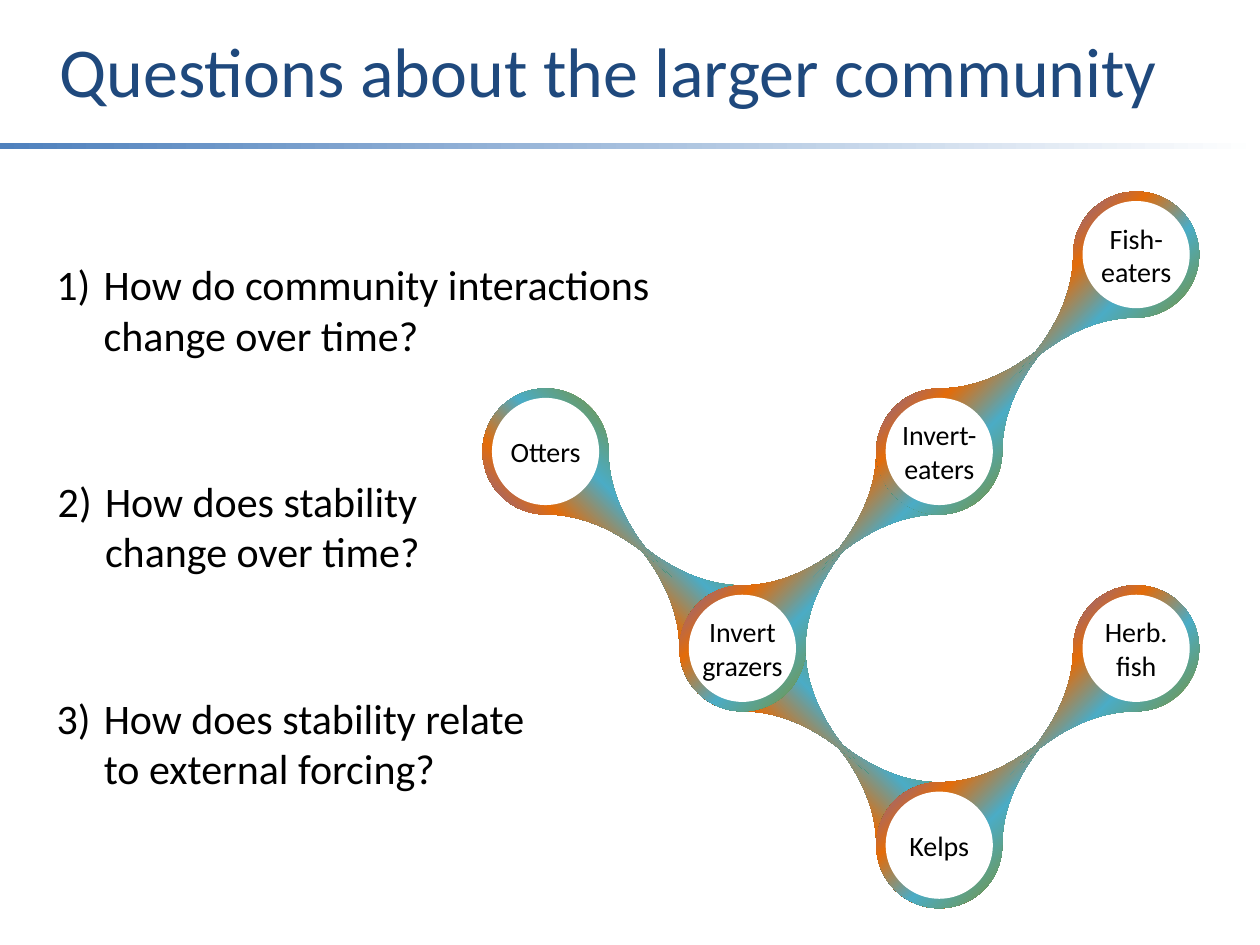
import pptx
import pptx.util
import pptx.dml.color
import pptx.enum.shapes
import pptx.enum.text
import pptx.oxml
import pptx.oxml.ns

Pt = pptx.util.Pt
KIND = pptx.enum.shapes.MSO_SHAPE
ALIGN = pptx.enum.text.PP_ALIGN
ANCHOR = pptx.enum.text.MSO_ANCHOR

TITLE = "Questions about the larger community"
# text, left, top, width
ASKS = [
    ("1)\tHow do community interactions change over time?", 25.2, 144, 372.2),
    ("2)\tHow does stability change over time?", 25.9, 267.8, 245.5),
    ("3)\tHow does stability relate to external forcing?", 25.2, 391.7, 298.8),
]
# name: column, row, lines of text
NODES = {
    "Invert- eaters": (2, 1, 2),
    "Fish-eaters": (3, 0, 2),
    "Otters": (0, 1, 1),
    "Invert grazers": (1, 2, 2),
    "Kelps": (2, 3, 1),
    "Herb. fish": (3, 2, 2),
}
LINKS = [
    ("Invert grazers", "Otters"),
    ("Kelps", "Invert grazers"),
    ("Invert grazers", "Invert- eaters"),
    ("Invert- eaters", "Fish-eaters"),
    ("Kelps", "Herb. fish"),
]
# direction of the tip: rotation, vertical flip
TURNS = {(1, -1): (0, False), (-1, -1): (270, False),
         (1, 1): (0, True), (-1, 1): (90, True)}
BAR = [(0, "4F81BD"), (100, "FFFFFF")]
DROP = [(0, "77933C"), (40, "4BACC6"), (70, "E46C0A"), (100, "8064A2")]
LEFT, TOP, STEP = 311.75, 145.5, 112.5
OUTER, INNER, LABEL = 72, 60.5, 70.6

deck = pptx.Presentation()
deck.slide_width, deck.slide_height = Pt(720), Pt(540)
slide = deck.slides.add_slide(deck.slide_layouts[6])


def color(code):
    return pptx.dml.color.RGBColor.from_string(code)


def shape(kind, x, y, w, h):
    item = slide.shapes.add_shape(kind, Pt(x), Pt(y), Pt(w), Pt(h))
    item.shadow.inherit = False
    item.line.fill.background()
    return item


def shade(item, stops, angle):
    """Fill with a linear gradient; angle is clockwise in degrees."""
    item.fill.gradient()
    grad = item._element.spPr.find(pptx.oxml.ns.qn("a:gradFill"))
    marks = "".join(f'<a:gs pos="{pos * 1000}"><a:srgbClr val="{code}"/></a:gs>'
                    for pos, code in stops)
    fresh = pptx.oxml.parse_xml(
        f'<a:gradFill {pptx.oxml.ns.nsdecls("a")} rotWithShape="1">'
        f'<a:gsLst>{marks}</a:gsLst>'
        f'<a:lin ang="{angle * 60000}" scaled="0"/></a:gradFill>')
    grad.getparent().replace(grad, fresh)


def write(text, x, y, w, h, size, code="000000", align=ALIGN.LEFT,
          margin=0, indent=0):
    box = slide.shapes.add_textbox(Pt(x), Pt(y), Pt(w), Pt(h))
    frame = box.text_frame
    frame.word_wrap = True
    frame.vertical_anchor = ANCHOR.MIDDLE
    para = frame.paragraphs[0]
    para.text = text
    para.alignment = align
    props = para._p.get_or_add_pPr()
    props.set("marL", str(Pt(margin)))
    props.set("indent", str(Pt(indent)))
    font = para.runs[0].font
    for key, value in {"name": "Calibri", "size": Pt(size)}.items():
        setattr(font, key, value)
    font.color.rgb = color(code)


def center(name):
    col, row, _ = NODES[name]
    return LEFT + col * STEP, TOP + row * STEP


def drop(name, other):
    """Draw a teardrop at one node with its tip toward the other."""
    x, y = center(name)
    far, low = center(other)
    turn, flip = TURNS[(1 if far > x else -1, 1 if low > y else -1)]
    item = shape(KIND.TEAR, x - OUTER / 2, y - OUTER / 2, OUTER, OUTER)
    item.adjustments[0] = 2
    item.rotation = turn
    if flip:
        item._element.spPr.xfrm.set("flipV", "1")
    shade(item, DROP, 225)


write(TITLE, 0, 0, 720, 79.2, 40, "1F497D", margin=27)
shade(shape(KIND.RECTANGLE, 0, 81.5, 720, 3.6), BAR, 0)

for one, two in LINKS:
    drop(one, two)
    drop(two, one)

for name, (_, _, lines) in NODES.items():
    x, y = center(name)
    disc = shape(KIND.OVAL, x - INNER / 2, y - INNER / 2, INNER, INNER)
    disc.fill.solid()
    disc.fill.fore_color.rgb = disc.line.color.rgb = color("FFFFFF")
    disc.line.width = Pt(0.75)
    tall = 7.2 + 19.4 * lines
    write(name, x - LABEL / 2, y - tall / 2, LABEL, tall, 16,
          align=ALIGN.CENTER)

for text, x, y, w in ASKS:
    write(text, x, y, w, 65.5, 24, margin=27, indent=-27)

deck.save("out.pptx")
